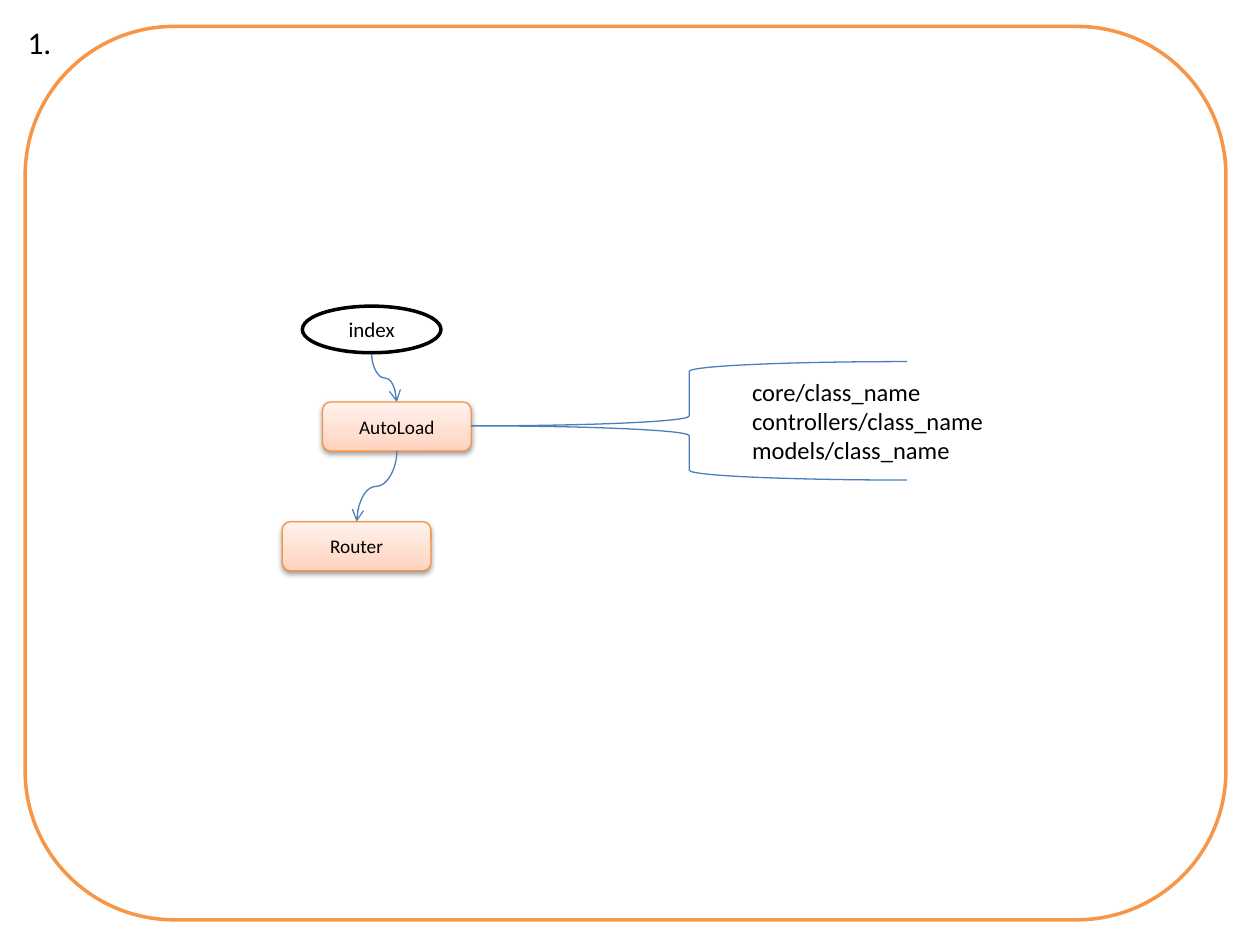
from copy import deepcopy

from lxml import etree
from pptx import Presentation
from pptx.dml.color import RGBColor
from pptx.enum.shapes import MSO_CONNECTOR, MSO_SHAPE
from pptx.enum.text import MSO_ANCHOR, MSO_AUTO_SIZE, PP_ALIGN
from pptx.oxml.ns import qn
from pptx.util import Inches, Pt

ELLIPSE = MSO_SHAPE.OVAL
ROUNDED = MSO_SHAPE.ROUNDED_RECTANGLE
BRACE = MSO_SHAPE.LEFT_BRACE
CURVE = MSO_CONNECTOR.CURVE
CENTER = PP_ALIGN.CENTER
MIDDLE = MSO_ANCHOR.MIDDLE
GROW = MSO_AUTO_SIZE.SHAPE_TO_FIT_TEXT

BLACK = RGBColor(0x00, 0x00, 0x00)
BLUE = RGBColor(0x4B, 0x7E, 0xBC)
ORANGE = RGBColor(0xF7, 0x96, 0x46)
STEP_EDGE = RGBColor(0xF6, 0x92, 0x40)
PEACH = RGBColor(0xFF, 0xD2, 0xBD)
PALE_PEACH = RGBColor(0xFF, 0xDE, 0xD0)
CREAM = RGBColor(0xFF, 0xF2, 0xED)
STEP_STOPS = ((0, PEACH), (0.35, PALE_PEACH), (1, CREAM))
STEP_WIDTH, STEP_HEIGHT = 1.18, 0.39


class FlowSlide:
    """Draws the parts of a class-loading flow on one slide."""

    font_name = "Calibri"

    def __init__(self, slide):
        self.slide = slide

    def set_lines(self, frame, lines, size, align=None):
        frame.text = "\n".join(lines)
        for paragraph in frame.paragraphs:
            paragraph.alignment = align
            paragraph.font.name = self.font_name
            paragraph.font.size = Pt(size)
            paragraph.font.color.rgb = BLACK

    def outline(self, kind, box, color, width, label=None, size=12):
        shape = self.slide.shapes.add_shape(kind, *map(Inches, box))
        shape.shadow.inherit = False
        shape.fill.background()
        shape.line.color.rgb = color
        shape.line.width = Pt(width)
        if label:
            shape.text_frame.vertical_anchor = MIDDLE
            self.set_lines(shape.text_frame, [label], size, CENTER)
        return shape

    def step(self, left, top, label):
        box = (left, top, STEP_WIDTH, STEP_HEIGHT)
        shape = self.outline(ROUNDED, box, STEP_EDGE, 0.75, label, 11)
        shape.fill.gradient()
        shape.fill.gradient_angle = 90
        properties = shape._element.spPr
        stop_list = properties.find(".//" + qn("a:gsLst"))
        stop_list.append(deepcopy(stop_list[-1]))
        for stop, (position, color) in zip(shape.fill.gradient_stops, STEP_STOPS):
            stop.position = position
            stop.color.rgb = color
        shadow = etree.SubElement(
            properties.find(qn("a:effectLst")), qn("a:outerShdw"),
            blurRad=str(Pt(3.1)), dist=str(Pt(1.6)), dir="5400000", rotWithShape="0")
        shade = etree.SubElement(shadow, qn("a:srgbClr"), val=str(BLACK))
        etree.SubElement(shade, qn("a:alpha"), val="38000")

    def brace(self, box, curl, point):
        shape = self.outline(BRACE, box, BLUE, 0.75)
        shape.adjustments[0] = curl
        shape.adjustments[1] = point

    def text(self, box, lines, size):
        frame = self.slide.shapes.add_textbox(*map(Inches, box)).text_frame
        frame.word_wrap = False
        frame.auto_size = GROW
        self.set_lines(frame, lines, size)

    def curved_arrow(self, start, end):
        (x1, y1), (x2, y2) = start, end
        rightward = x2 > x1
        middle_x, middle_y = (x1 + x2) / 2, (y1 + y2) / 2
        reach = (y2 - y1) / 2 * (1 if rightward else -1)
        rise = abs(x2 - x1) / 2
        arrow = self.slide.shapes.add_connector(
            CURVE, Inches(middle_x + reach), Inches(middle_y - rise),
            Inches(middle_x - reach), Inches(middle_y + rise))
        arrow.line.color.rgb = BLUE
        arrow.line.width = Pt(0.75)
        properties = arrow._element.spPr
        properties.get_or_add_xfrm().rot = 270 if rightward else 90
        etree.SubElement(properties.find(qn("a:ln")), qn("a:tailEnd"), type="arrow")
        etree.SubElement(properties, qn("a:effectLst"))


def main():
    presentation = Presentation()
    presentation.slide_width = Inches(10)
    presentation.slide_height = Inches(7.5)
    flow = FlowSlide(presentation.slides.add_slide(presentation.slide_layouts[6]))

    flow.outline(ELLIPSE, (2.4, 2.43, 1.1, 0.37), BLACK, 2, "index")
    flow.step(2.56, 3.19, "AutoLoad")
    flow.brace((3.74, 2.87, 3.46, 0.94), 0.083, 0.543)
    class_files = [f"{folder}/class_name" for folder in ("core", "controllers", "models")]
    flow.text((5.87, 2.94, 2.05, 0.81), class_files, 14)
    flow.step(2.24, 4.14, "Router")
    flow.curved_arrow((2.95, 2.81), (3.15, 3.19))
    flow.curved_arrow((3.15, 3.58), (2.83, 4.14))
    flow.outline(ROUNDED, (0.2, 0.21, 9.53, 7.09), ORANGE, 2)
    flow.text((0.12, 0.13, 0.39, 0.4), ["1."], 18)

    presentation.save("out.pptx")


if __name__ == "__main__":
    main()
